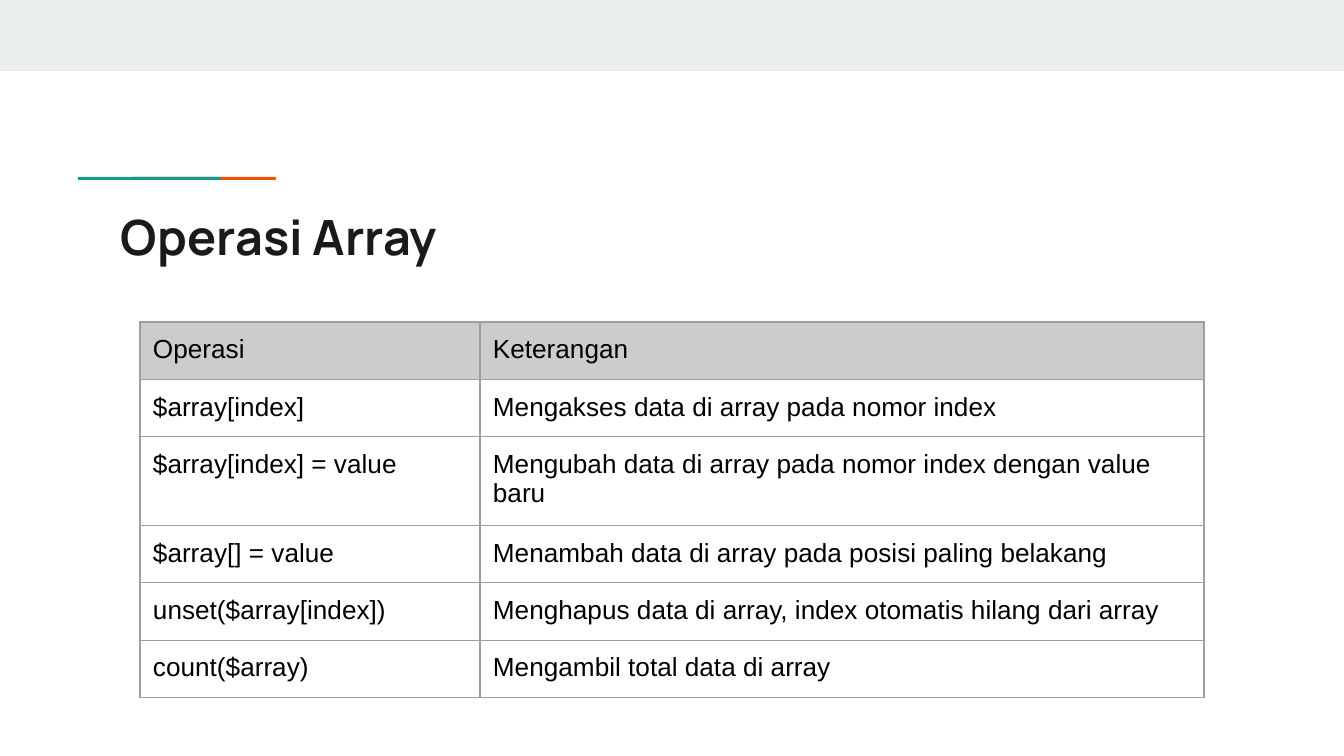
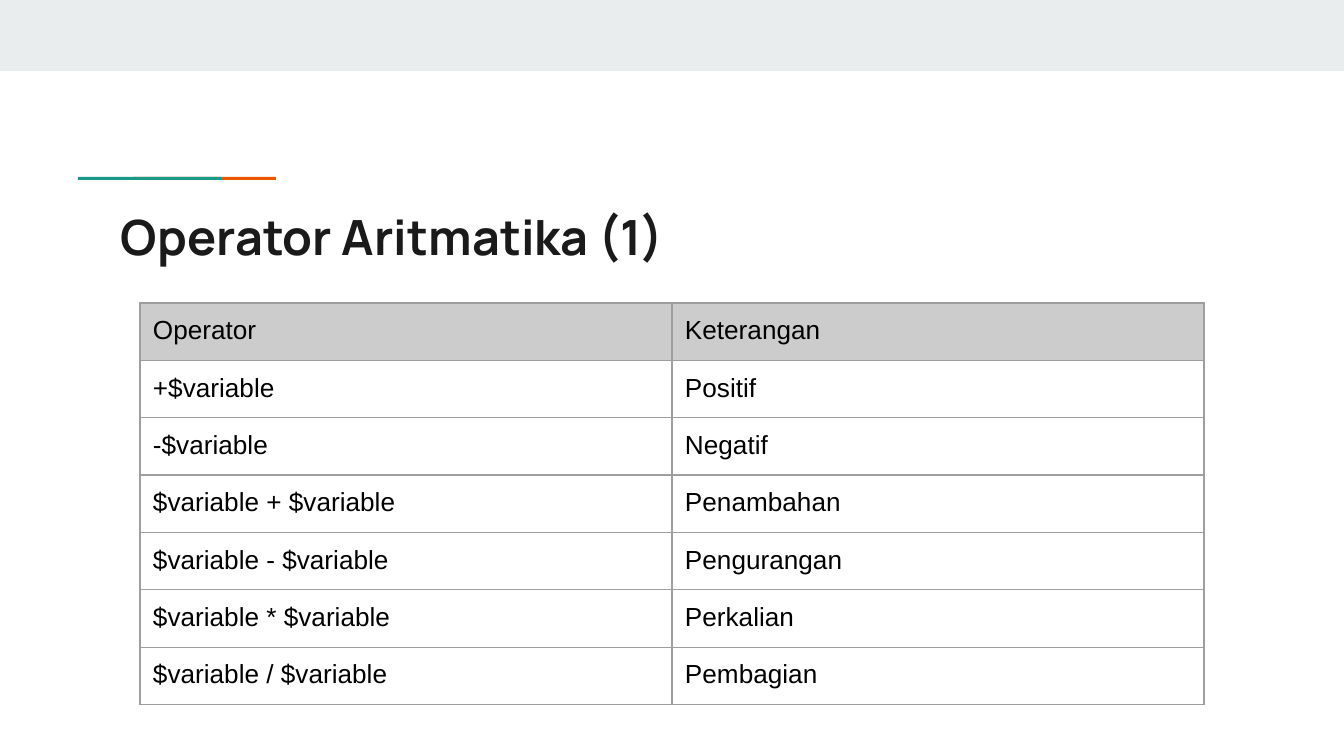
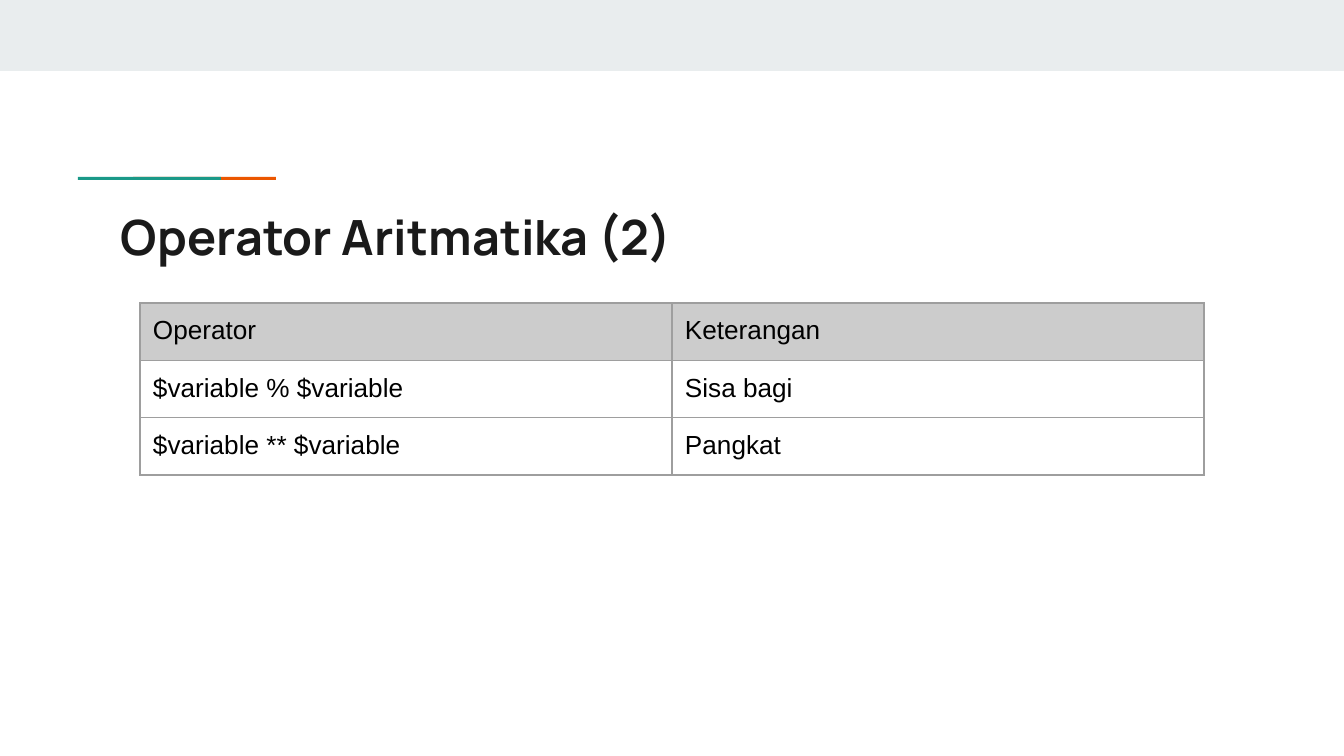
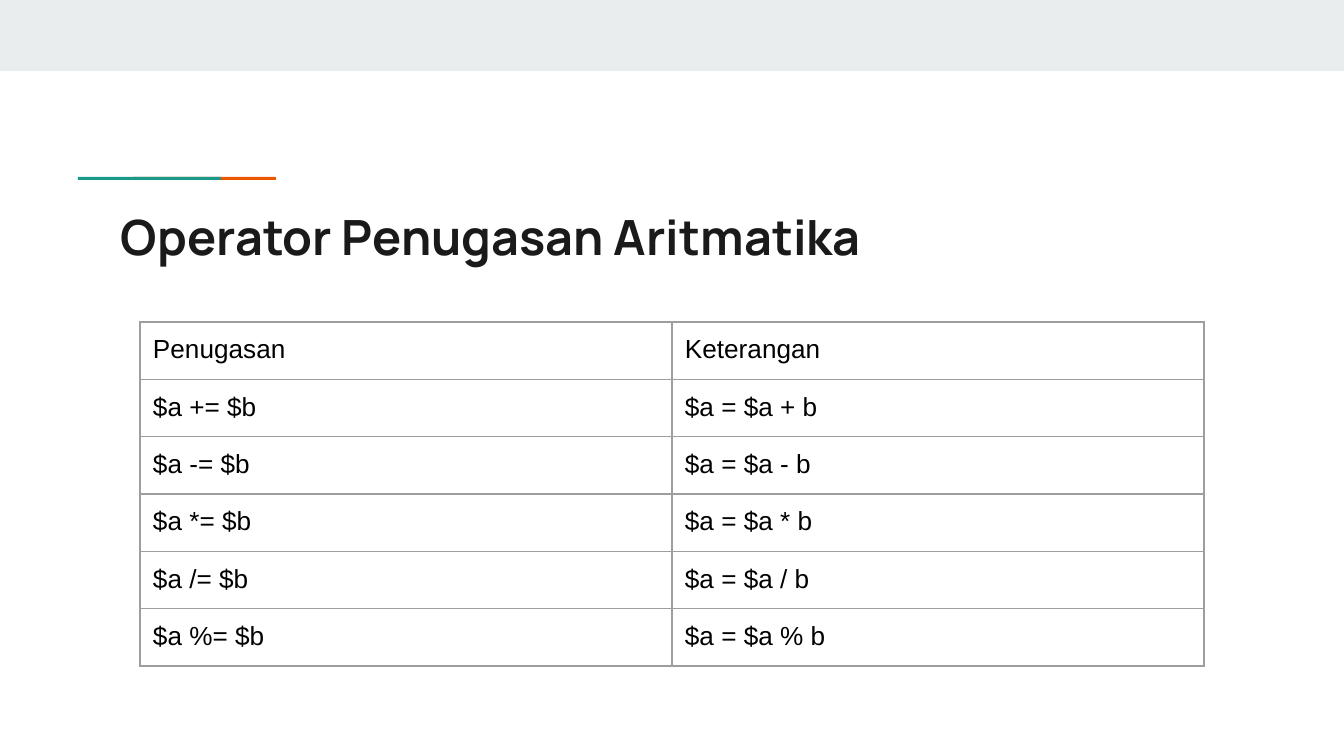
"""Build four slides of PHP array operations and arithmetic operators."""
from lxml.etree import SubElement
from pptx import Presentation
from pptx.dml.color import RGBColor
from pptx.enum.shapes import MSO_SHAPE as Shape
from pptx.oxml.ns import qn
from pptx.util import Emu, Pt

SCALE = 914400 / 134.4
COLORS = {
    "band": "E9EDEE",
    "orange": "EB5600",
    "teal": "1A9988",
    "title": "1A1A1A",
    "text": "000000",
    "header": "CCCCCC",
    "border": "9E9E9E",
}
BARS = [
    ("band", 0, 0, 1344, 71),
    ("orange", 133, 177, 143, 3),
    ("teal", 78, 177, 143, 3),
]
ROW_HEIGHT = 56
TABLES = [
    {
        "title": "Operasi Array",
        "top": 322,
        "columns": [340, 724],
        "header_fill": True,
        "rows": [
            ("Operasi", "Keterangan"),
            ("$array[index]", "Mengakses data di array pada nomor index"),
            ("$array[index] = value", "Mengubah data di array pada nomor index dengan value baru"),
            ("$array[] = value", "Menambah data di array pada posisi paling belakang"),
            ("unset($array[index])", "Menghapus data di array, index otomatis hilang dari array"),
            ("count($array)", "Mengambil total data di array"),
        ],
    },
    {
        "title": "Operator Aritmatika (1)",
        "top": 303,
        "columns": [532, 532],
        "header_fill": True,
        "rows": [
            ("Operator", "Keterangan"),
            ("+$variable", "Positif"),
            ("-$variable", "Negatif"),
            ("$variable + $variable", "Penambahan"),
            ("$variable - $variable", "Pengurangan"),
            ("$variable * $variable", "Perkalian"),
            ("$variable / $variable", "Pembagian"),
        ],
    },
    {
        "title": "Operator Aritmatika (2)",
        "top": 303,
        "columns": [532, 532],
        "header_fill": True,
        "rows": [
            ("Operator", "Keterangan"),
            ("$variable % $variable", "Sisa bagi"),
            ("$variable ** $variable", "Pangkat"),
        ],
    },
    {
        "title": "Operator Penugasan Aritmatika",
        "top": 322,
        "columns": [532, 532],
        "header_fill": False,
        "rows": [
            ("Penugasan", "Keterangan"),
            ("$a += $b", "$a = $a + b"),
            ("$a -= $b", "$a = $a - b"),
            ("$a *= $b", "$a = $a * b"),
            ("$a /= $b", "$a = $a / b"),
            ("$a %= $b", "$a = $a % b"),
        ],
    },
]


def px(*lengths):
    return [Emu(round(length * SCALE)) for length in lengths]


def write(holder, frame, text, size=14, font="Arial", color="text", bold=False):
    inset = px(13)[0]
    holder.margin_left = holder.margin_right = inset
    holder.margin_top = holder.margin_bottom = inset
    run = frame.paragraphs[0].add_run()
    run.text = text
    run.font.size = Pt(size)
    run.font.name = font
    run.font.bold = bold
    run.font.color.rgb = RGBColor.from_string(COLORS[color])


presentation = Presentation()
presentation.slide_width, presentation.slide_height = px(1344, 756)

for content in TABLES:
    slide = presentation.slides.add_slide(presentation.slide_layouts[6])

    for color, *box in BARS:
        bar = slide.shapes.add_shape(Shape.RECTANGLE, *px(*box))
        bar.shadow.inherit = False
        bar.fill.solid()
        bar.fill.fore_color.rgb = RGBColor.from_string(COLORS[color])
        bar.line.fill.background()

    title = slide.shapes.add_textbox(*px(108, 194, 1130, 79)).text_frame
    title.word_wrap = True
    write(title, title, content["title"], size=26, font="Manrope", color="title", bold=True)

    rows, columns = content["rows"], content["columns"]
    table = slide.shapes.add_table(
        len(rows), len(columns),
        *px(140, content["top"], sum(columns), ROW_HEIGHT * len(rows)),
    ).table
    table.first_row = table.horz_banding = False
    for column, width in zip(table.columns, px(*columns)):
        column.width = width

    for row_index, texts in enumerate(rows):
        table.rows[row_index].height = px(ROW_HEIGHT)[0]
        for column_index, text in enumerate(texts):
            cell = table.cell(row_index, column_index)
            write(cell, cell.text_frame, text)
            properties = cell._tc.get_or_add_tcPr()
            for side in ("a:lnL", "a:lnR", "a:lnT", "a:lnB"):
                border = SubElement(properties, qn(side), w=str(Pt(0.75)))
                fill = SubElement(border, qn("a:solidFill"))
                SubElement(fill, qn("a:srgbClr"), val=COLORS["border"])
            if row_index == 0 and content["header_fill"]:
                cell.fill.solid()
                cell.fill.fore_color.rgb = RGBColor.from_string(COLORS["header"])
            else:
                cell.fill.background()

presentation.save("out.pptx")
